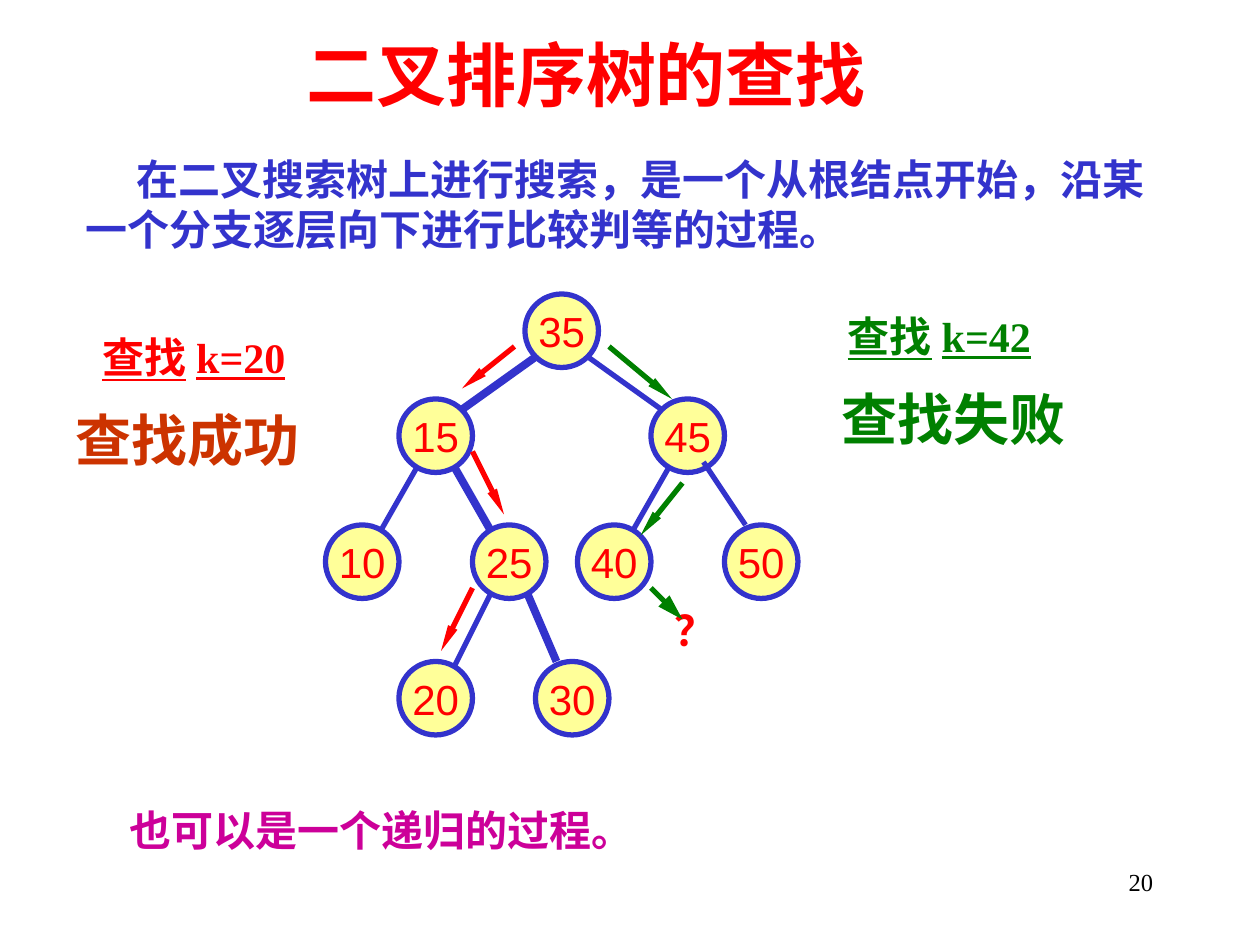
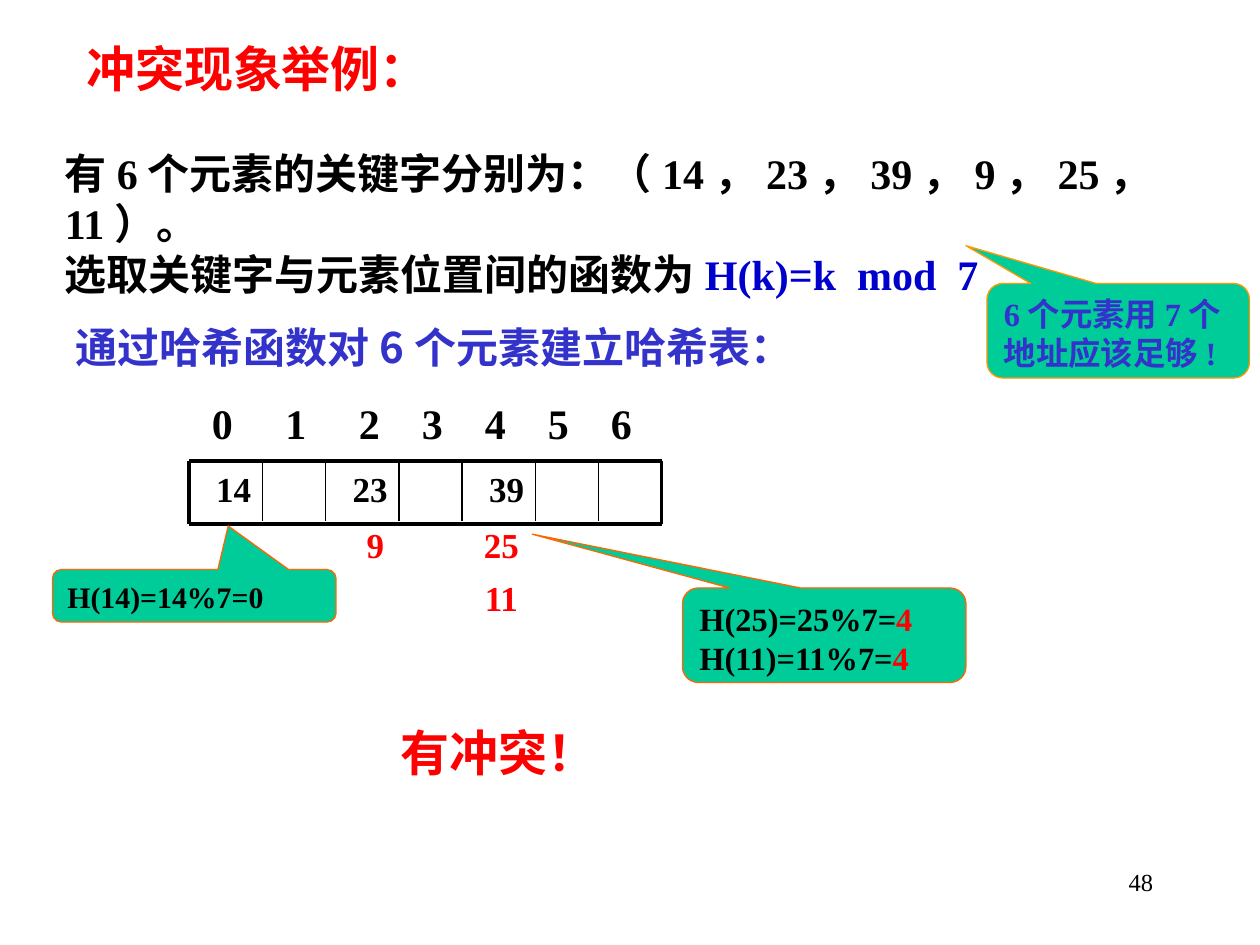
from itertools import accumulate
from lxml.etree import SubElement
from pptx import Presentation
from pptx.dml.color import RGBColor
from pptx.enum.shapes import MSO_CONNECTOR, MSO_SHAPE
from pptx.enum.text import MSO_ANCHOR, PP_ALIGN
from pptx.oxml.ns import qn
from pptx.util import Pt

COLORS = {
    "black": "000000", "red": "FF0000", "green": "008000", "blue": "3333CC",
    "formula": "0000CC", "rust": "CC3300", "magenta": "CC0099",
    "node": "FFFF99", "callout": "00CC99", "amber": "FF9900", "orange": "FF6600",
}
SERIF, SANS, CJK = "Times New Roman", "Arial", "Noto Sans CJK SC"
BODY = {"size": 24, "bold": True, "name": SERIF, "color": "black"}
PAGE_BOX = (516, 492, 150, 36)

# ---- Slide 1: searching a binary sort tree ----
SEARCH_TITLE = ("二叉排序树的查找", (168, 18, 354, 48), 40)
SEARCH_INTRO = "在二叉搜索树上进行搜索，是一个从根结点开始，沿某一个分支逐层向下进行比较判等的过程。"
SEARCH_LABELS = [
    # text, box, format
    ("也可以是一个递归的过程。", (67, 456, 330, 36), {"color": "magenta"}),
    ("查找k=20", (51.3, 186, 140, 36), {"color": "red", "underline": True}),
    ("查找k=42", (477.3, 174, 140, 36), {"color": "green", "underline": True}),
    ("查找成功", (36, 228, 160, 46), {"color": "rust", "size": 32}),
    ("查找失败", (474, 216, 160, 46), {"color": "green", "size": 32}),
    ("？", (378.4, 342, 42, 36), {"color": "red"}),
]
ROOT, NODE_SIZE = 35, 42
TREE_NODES = {
    35: (300, 168), 15: (228, 228), 45: (372, 228), 10: (186, 300), 25: (270, 300),
    40: (330, 300), 50: (414, 300), 20: (228, 378), 30: (306, 378),
}
# parent, child, line width, depth of the end inside the child
EDGES_BEHIND = [(45, 40, 3, 6), (25, 30, 4.5, 0), (25, 20, 3, 6), (15, 10, 3, 6), (15, 25, 4.5, 6)]
EDGES_IN_FRONT = [(35, 15, 4.5, 6), (35, 45, 3, 6), (45, 50, 3, 0)]
SEARCH_STEPS = [
    # color, start, end, arrowhead width
    ("red", (294, 198), (264, 222), "sm"),
    ("red", (270, 258), (288, 294), "sm"),
    ("red", (270, 336), (252, 372), "sm"),
    ("green", (348, 198), (384, 228), "sm"),
    ("green", (390, 276), (366, 306), "sm"),
    ("green", (372, 336), (390, 354), "med"),
]

# ---- Slide 2: hash collisions ----
COLLISION_TITLE = ("冲突现象举例：", (42.2, 18, 260, 42), 28)
PROBLEM = [
    [("有6", {}), ("个元素的关键字分别为：（", {"name": CJK}), ("14，23，39，9，25，11）。", {})],
    [("选取关键字与元素位置间的函数为", {"name": CJK}), ("H(k)=k  mod  7", {"color": "formula"})],
]
BUILD_LINE = "通过哈希函数对6个元素建立哈希表："
SLOT_WIDTHS = [42, 36, 42, 36, 42, 36, 36]
SLOT_TABS = [6, 48, 90, 126, 162, 198, 234]
SLOTS_LEFT, SLOTS_TOP, SLOTS_BOTTOM = 108, 263.5, 299.5
KEYS = [
    # key, left, top, color
    ("14", 114, 263.5, "black"), ("23", 192, 263.5, "black"), ("39", 270, 263.5, "black"),
    ("9", 195, 295.7, "red"), ("25", 267, 295.7, "red"), ("11", 267, 325.8, "red"),
]
CLASH = "有冲突！"
CALLOUTS = [
    # box, pointer tip, line, size, text color, paragraphs
    ((564, 162, 150, 54), (-0.58, -0.9), "amber", 18.5, "blue",
     [[("6个元素用7个", {})], [("地址应该足够!", {})]]),
    ((30, 325.5, 162, 30), (0.12, -1.33), "orange", 17, "black",
     [[("H(14)=14%7=0", {})]]),
    ((390, 336, 162, 54), (-1.03, -1.07), "orange", 18.5, "black",
     [[("H(25)=25%7=", {}), ("4", {"color": "red"})],
      [("H(11)=11%7=", {}), ("4", {"color": "red"})]]),
]


def rgb(color):
    return RGBColor.from_string(COLORS[color])


def write(frame, paragraphs, base, align=PP_ALIGN.LEFT, spacing=None):
    """Fill a text frame with paragraphs of (text, format) runs."""
    for index, runs in enumerate(paragraphs):
        paragraph = frame.add_paragraph() if index else frame.paragraphs[0]
        paragraph.alignment = align
        paragraph.line_spacing = spacing
        for text, changes in runs:
            run = paragraph.add_run()
            run.text = text
            values = {**BODY, **base, **changes}
            run.font.color.rgb = rgb(values.pop("color"))
            values["size"] = Pt(values["size"])
            for attribute, value in values.items():
                setattr(run.font, attribute, value)
            SubElement(run.font._element, qn("a:ea"), typeface=CJK)


def add_text(slide, box, paragraphs, base=None, anchor=MSO_ANCHOR.TOP, **layout):
    if isinstance(paragraphs, str):
        paragraphs = [[(paragraphs, {})]]
    frame = slide.shapes.add_textbox(*map(Pt, box)).text_frame
    frame.word_wrap = True
    frame.vertical_anchor = anchor
    write(frame, paragraphs, base or {}, **layout)
    return frame


def add_shape(slide, kind, box, fill, line, width):
    shape = slide.shapes.add_shape(kind, *map(Pt, box))
    shape.shadow.inherit = False
    shape.fill.solid()
    shape.fill.fore_color.rgb = rgb(fill)
    shape.line.color.rgb = rgb(line)
    shape.line.width = Pt(width)
    return shape


def add_line(slide, start, end, color, width, head=None):
    """Draw a line; head is the arrowhead width at its end."""
    line = slide.shapes.add_connector(MSO_CONNECTOR.STRAIGHT, *map(Pt, (*start, *end)))
    line.line.color.rgb = rgb(color)
    line.line.width = Pt(width)
    if head:
        SubElement(line.line._get_or_add_ln(), qn("a:tailEnd"), type="triangle", w=head, len="lg")
    SubElement(line._element.spPr, qn("a:effectLst"))


def add_slide(deck, title, number):
    slide = deck.slides.add_slide(deck.slide_layouts[6])
    text, box, size = title
    add_text(slide, box, text, {"size": size, "color": "red"}, MSO_ANCHOR.MIDDLE)
    add_text(slide, PAGE_BOX, number, {"size": 14, "bold": False}, align=PP_ALIGN.RIGHT)
    return slide


def add_edges(slide, edges):
    for parent, child, width, depth in edges:
        (px, py), (cx, cy) = TREE_NODES[parent], TREE_NODES[child]
        near = 6 if parent == ROOT else 12
        far = NODE_SIZE - near
        # A root edge ends at the child's far corner, other edges 12 from its side
        start_x, end_x = (near, far) if cx < px else (far, near)
        add_line(slide, (px + start_x, py + 36), (cx + end_x, cy + depth), "blue", width)


def add_tree(slide):
    add_edges(slide, EDGES_BEHIND)
    for key, corner in TREE_NODES.items():
        node = add_shape(slide, MSO_SHAPE.OVAL, (*corner, NODE_SIZE, NODE_SIZE), "node", "blue", 3)
        frame = node.text_frame
        frame.word_wrap = False
        frame.vertical_anchor = MSO_ANCHOR.MIDDLE
        write(frame, [[(str(key), {})]], {"name": SANS, "bold": False, "color": "red"},
              PP_ALIGN.CENTER)
    add_edges(slide, EDGES_IN_FRONT)


def add_hash_slots(slide):
    """Draw the numbered slots, their keys and the keys that collide below them."""
    sides = list(accumulate(SLOT_WIDTHS, initial=SLOTS_LEFT))
    for y in (SLOTS_TOP, SLOTS_BOTTOM):
        add_line(slide, (sides[0], y), (sides[-1], y), "black", 2.25)
    for x in sides:
        outer = x in (sides[0], sides[-1])
        bottom = SLOTS_BOTTOM if outer else SLOTS_BOTTOM - 2
        add_line(slide, (x, SLOTS_TOP), (x, bottom), "black", 2.25 if outer else 1)

    for key, left, top, color in KEYS:
        add_text(slide, (left, top, 39, 34), key, {"size": 20, "color": color},
                 align=PP_ALIGN.CENTER)

    indexes = "".join(f"\t{slot}" for slot in range(len(SLOT_WIDTHS)))
    frame = add_text(slide, (SLOTS_LEFT, 223.6, 276, 36), indexes)
    tabs = SubElement(frame.paragraphs[0]._p.get_or_add_pPr(), qn("a:tabLst"))
    for position in SLOT_TABS:
        SubElement(tabs, qn("a:tab"), pos=str(Pt(position)), algn="l")


def build_search_slide(deck):
    slide = add_slide(deck, SEARCH_TITLE, "20")
    intro = add_text(slide, (42, 78, 636, 71), SEARCH_INTRO, {"color": "blue"})
    intro.margin_top = Pt(9.5)
    intro.paragraphs[0]._p.get_or_add_pPr().set("indent", str(Pt(29)))
    for text, box, style in SEARCH_LABELS:
        add_text(slide, box, text, style)
    add_tree(slide)
    for color, start, end, head in SEARCH_STEPS:
        add_line(slide, start, end, color, 3, head)


def build_collision_slide(deck):
    slide = add_slide(deck, COLLISION_TITLE, "48")
    add_text(slide, (30, 80.7, 648, 94), PROBLEM)
    add_text(slide, (36, 180, 440, 36), BUILD_LINE, {"name": CJK, "color": "blue"})
    add_hash_slots(slide)
    for box, tip, line, size, color, paragraphs in CALLOUTS:
        callout = add_shape(slide, MSO_SHAPE.ROUNDED_RECTANGULAR_CALLOUT, box,
                            "callout", line, 0.75)
        for index, value in enumerate(tip):
            callout.adjustments[index] = value
        callout.text_frame.word_wrap = True
        callout.text_frame.vertical_anchor = MSO_ANCHOR.TOP
        write(callout.text_frame, paragraphs, {"size": size, "color": color})
    add_text(slide, (222, 396, 189, 55), CLASH, {"size": 28, "color": "red"}, spacing=1.4)


def main():
    deck = Presentation()
    deck.slide_width, deck.slide_height = Pt(720), Pt(540)
    build_search_slide(deck)
    build_collision_slide(deck)
    deck.save("out.pptx")


if __name__ == "__main__":
    main()
